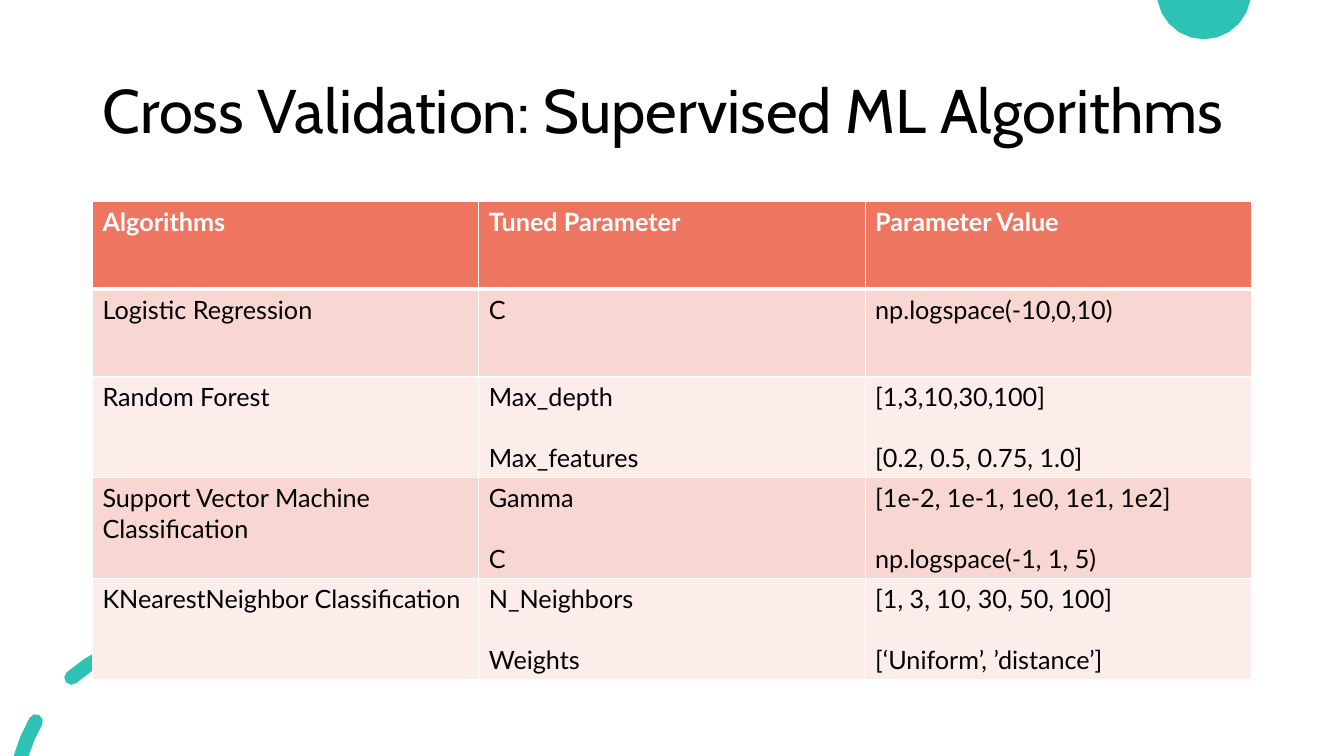
from math import asin, cos, degrees, radians, sin

from lxml.etree import SubElement
from pptx import Presentation
from pptx.dml.color import RGBColor
from pptx.enum.text import MSO_ANCHOR, MSO_AUTO_SIZE, PP_ALIGN
from pptx.oxml.ns import qn
from pptx.util import Cm, Pt

TEAL = RGBColor(0x2C, 0xC3, 0xB4)
CORAL = RGBColor(0xEE, 0x76, 0x61)
ROSE = RGBColor(0xF8, 0xD6, 0xD2)
BLUSH = RGBColor(0xFC, 0xEC, 0xEA)
WHITE = RGBColor(0xFF, 0xFF, 0xFF)
BLACK = RGBColor(0x00, 0x00, 0x00)

TITLE = "Cross Validation: Supervised ML Algorithms"
ROWS = [
    (["Algorithms"], ["Tuned Parameter"], ["Parameter Value"]),
    (["Logistic Regression"], ["C"], ["np.logspace(-10,0,10)"]),
    (["Random Forest"], ["Max_depth", "Max_features"],
     ["[1,3,10,30,100]", "[0.2, 0.5, 0.75, 1.0]"]),
    (["Support Vector Machine Classification"], ["Gamma", "C"],
     ["[1e-2, 1e-1, 1e0, 1e1, 1e2]", "np.logspace(-1, 1, 5)"]),
    (["KNearestNeighbor Classification"], ["N_Neighbors", "Weights"],
     ["[1, 3, 10, 30, 50, 100]", "[‘Uniform’, ’distance’]"]),
]

TITLE_FORMAT = {"name": "Cabin", "size": Pt(44), "bold": False}
HEADER_FORMAT = {"name": "Lato", "size": Pt(18), "bold": True}
CELL_FORMAT = {"name": "Lato", "size": Pt(18), "bold": False}

SLIDE_WIDTH, SLIDE_HEIGHT = 33.87, 19.05
LEFT, CONTENT_WIDTH = 2.33, 29.21
TITLE_TOP, TITLE_HEIGHT = 1.02, 3.68
TABLE_TOP, TABLE_HEIGHT, ROW_HEIGHT = 5.08, 12.02, 2.21
PARAGRAPH_GAP = Pt(21.6)
THIN, THICK = Pt(1), Pt(3)

DISC_CENTER, DISC_RADIUS = (30.34, -0.2), 1.19
RING_CENTER, RING_RADIUS, DASH_RADIUS = (4.55, 20.24), 4.19, 0.18
CUT_DASH_END = 209.5
ROUND_DASHES = [(229, 243.6), (263, 277.3)]


def arc(center, radius, start, end, steps):
    """Return points along a circular arc, with angles in degrees."""
    angles = [radians(start + (end - start) * step / steps)
              for step in range(steps + 1)]
    return [(center[0] + radius * cos(angle), center[1] + radius * sin(angle))
            for angle in angles]


def cap(angle, turn):
    """Return the round end of a dash, turned from the given direction."""
    center = arc(RING_CENTER, RING_RADIUS, angle, angle, 1)[0]
    return arc(center, DASH_RADIUS, angle + turn, angle + turn + 180, 4)[1:-1]


def dash(outer_start, inner_start, end):
    """Return the outline of a dash, left open at its start."""
    return (arc(RING_CENTER, RING_RADIUS + DASH_RADIUS, outer_start, end, 2)
            + cap(end, 0)
            + arc(RING_CENTER, RING_RADIUS - DASH_RADIUS, end, inner_start, 2))


def ring_outlines():
    """Return the dash cut by the slide's bottom edge and the round ones."""
    depth = RING_CENTER[1] - SLIDE_HEIGHT
    starts = [180 + degrees(asin(depth / radius)) for radius in
              (RING_RADIUS + DASH_RADIUS, RING_RADIUS - DASH_RADIUS)]
    rounded = [dash(start, start, end) + cap(start, 180)
               for start, end in ROUND_DASHES]
    return [dash(*starts, CUT_DASH_END)] + rounded


def disc_outline():
    """Return the part of the disc below the slide's top edge."""
    start = degrees(asin(-DISC_CENTER[1] / DISC_RADIUS))
    return arc(DISC_CENTER, DISC_RADIUS, start, 180 - start, 10)


def add_ornament(page, outlines):
    """Draw outlines as one teal shape."""
    first, *others = [[(Cm(x), Cm(y)) for x, y in points] for points in outlines]
    builder = page.shapes.build_freeform(*first[0])
    builder.add_line_segments(first[1:], close=True)
    for points in others:
        builder.move_to(*points[0])
        builder.add_line_segments(points[1:], close=True)
    shape = builder.convert_to_shape()
    shape.shadow.inherit = False
    shape.fill.solid()
    shape.fill.fore_color.rgb = TEAL
    shape.line.fill.background()


def write(para, text, values, color):
    """Write a formatted span into a paragraph."""
    span = para.add_run()
    span.text = text
    for name, value in values.items():
        setattr(span.font, name, value)
    span.font.color.rgb = color


def add_borders(cell, bottom):
    """Give a cell white borders."""
    properties = cell._tc.get_or_add_tcPr()
    sides = {"lnL": THIN, "lnR": THIN, "lnT": THIN, "lnB": bottom}
    for side, width in sides.items():
        line = SubElement(properties, qn(f"a:{side}"), w=str(width))
        fill = SubElement(line, qn("a:solidFill"))
        SubElement(fill, qn("a:srgbClr"), val=str(WHITE))


def add_title(page):
    """Place and format the slide title."""
    title = page.shapes.title
    title.left, title.top = Cm(LEFT), Cm(TITLE_TOP)
    title.width, title.height = Cm(CONTENT_WIDTH), Cm(TITLE_HEIGHT)
    frame = title.text_frame
    frame.word_wrap = True
    frame.auto_size = MSO_AUTO_SIZE.NONE
    frame.vertical_anchor = MSO_ANCHOR.MIDDLE
    para = frame.paragraphs[0]
    para.alignment = PP_ALIGN.LEFT
    para.line_spacing = 0.9
    write(para, TITLE, TITLE_FORMAT, BLACK)


def add_parameter_table(page):
    """Add the table of algorithms and tuned parameters."""
    holder = page.shapes.add_table(
        len(ROWS), len(ROWS[0]), Cm(LEFT), Cm(TABLE_TOP),
        Cm(CONTENT_WIDTH), Cm(TABLE_HEIGHT))
    table = holder.table
    for row_index, row in enumerate(ROWS):
        table.rows[row_index].height = Cm(ROW_HEIGHT)
        header = row_index == 0
        values = HEADER_FORMAT if header else CELL_FORMAT
        background = CORAL if header else (BLUSH, ROSE)[row_index % 2]
        for column_index, lines in enumerate(row):
            cell = table.cell(row_index, column_index)
            add_borders(cell, THICK if header else THIN)
            cell.fill.solid()
            cell.fill.fore_color.rgb = background
            frame = cell.text_frame
            for line_index, text in enumerate(lines):
                para = frame.add_paragraph() if line_index else frame.paragraphs[0]
                if line_index:
                    para.space_before = PARAGRAPH_GAP
                write(para, text, values, WHITE if header else BLACK)
    holder.height = Cm(TABLE_HEIGHT)


def main():
    """Build and save the slide."""
    deck = Presentation()
    deck.slide_width, deck.slide_height = Cm(SLIDE_WIDTH), Cm(SLIDE_HEIGHT)
    page = deck.slides.add_slide(deck.slide_layouts[5])
    add_ornament(page, [disc_outline()])
    add_ornament(page, ring_outlines())
    add_title(page)
    add_parameter_table(page)
    deck.save("out.pptx")


if __name__ == "__main__":
    main()
